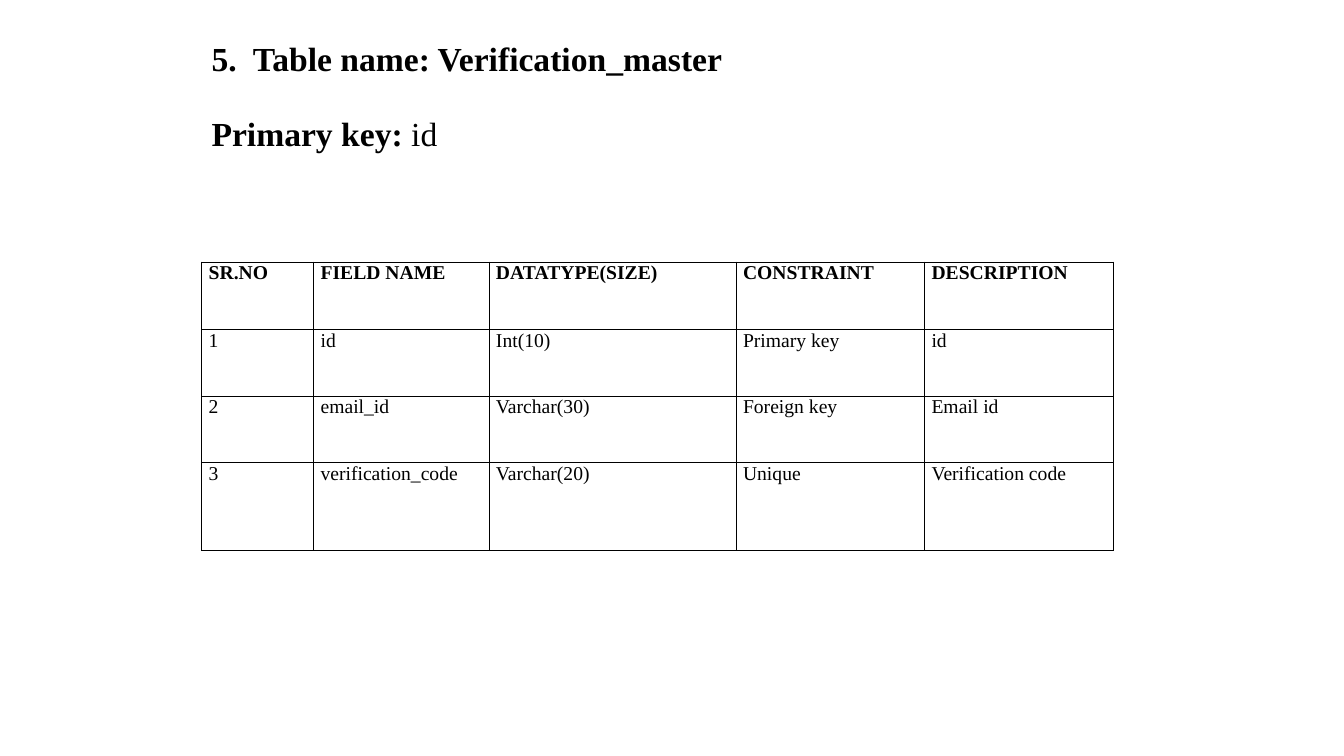
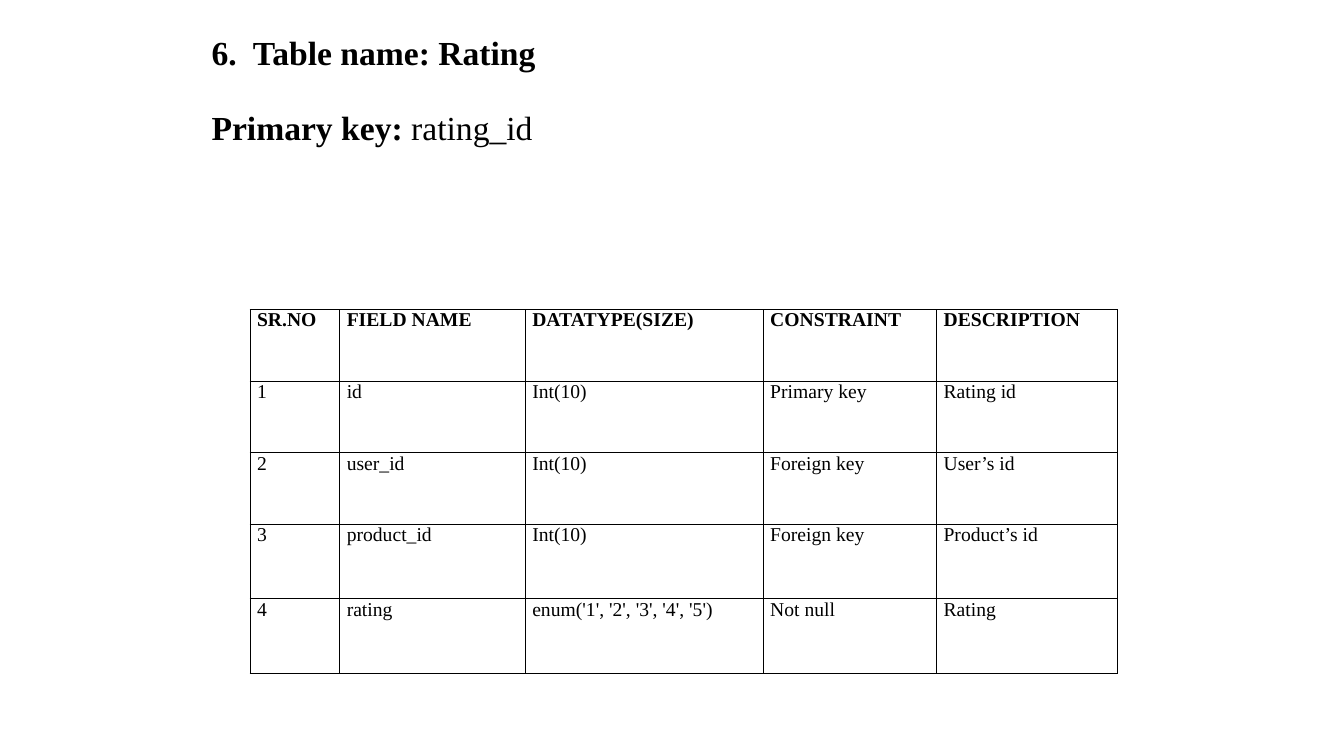
from lxml import etree
from pptx import Presentation
from pptx.dml.color import RGBColor
from pptx.enum.text import MSO_ANCHOR
from pptx.oxml.ns import qn
from pptx.util import Inches, Pt

MIDDLE = MSO_ANCHOR.MIDDLE
FONT = "Times New Roman"
BLACK = "000000"
BORDER_WIDTH = Pt(0.58)
HEADERS = ["SR.NO", "FIELD NAME", "DATATYPE(SIZE)", "CONSTRAINT", "DESCRIPTION"]

SLIDES = [
    {
        "title": "5.  Table name: Verification_master",
        "key": "id",
        "title_bottom_margin": 0,
        "table_position": (2, 2.6),
        "columns": [1.11, 1.74, 2.45, 1.87, 1.87],
        "rows": [0.67, 0.66, 0.66, 0.87],
        "fields": [
            ["id", "Int(10)", "Primary key", "id"],
            ["email_id", "Varchar(30)", "Foreign key", "Email id"],
            ["verification_code", "Varchar(20)", "Unique", "Verification code"],
        ],
    },
    {
        "title": "6.  Table name: Rating",
        "key": "rating_id",
        "title_bottom_margin": 0.12,
        "table_position": (2.48, 3.07),
        "columns": [0.89, 1.84, 2.36, 1.72, 1.79],
        "rows": [0.71, 0.71, 0.71, 0.74, 0.74],
        "fields": [
            ["id", "Int(10)", "Primary key", "Rating id"],
            ["user_id", "Int(10)", "Foreign key", "User’s id"],
            ["product_id", "Int(10)", "Foreign key", "Product’s id"],
            ["rating", "enum('1', '2', '3', '4', '5')", "Not null", "Rating"],
        ],
    },
]


def style_run(run, size, bold):
    run.font.name = FONT
    run.font.size = Pt(size)
    run.font.bold = bold
    run.font.color.rgb = RGBColor.from_string(BLACK)


def add_borders(cell):
    properties = cell._tc.get_or_add_tcPr()
    for side in ("a:lnL", "a:lnR", "a:lnT", "a:lnB"):
        line = etree.SubElement(properties, qn(side), w=str(BORDER_WIDTH))
        fill = etree.SubElement(line, qn("a:solidFill"))
        etree.SubElement(fill, qn("a:srgbClr"), val=BLACK)


presentation = Presentation()
presentation.slide_width = Inches(13.33)
presentation.slide_height = Inches(7.5)

for content in SLIDES:
    slide = presentation.slides.add_slide(presentation.slide_layouts[6])

    # Table name and primary key
    title = slide.shapes.add_textbox(Inches(2), Inches(0.12), Inches(9.57), Inches(1.68))
    text_frame = title.text_frame
    text_frame.word_wrap = True
    text_frame.vertical_anchor = MIDDLE
    text_frame.margin_top = 0
    text_frame.margin_bottom = Inches(content["title_bottom_margin"])
    text_frame.text = content["title"] + "\nPrimary key: "
    name_paragraph, key_paragraph = text_frame.paragraphs
    key_paragraph.space_before = Pt(27)
    for paragraph in text_frame.paragraphs:
        paragraph.line_spacing = Pt(27)
        style_run(paragraph.runs[0], 24, True)
    key_run = key_paragraph.add_run()
    key_run.text = content["key"]
    style_run(key_run, 24, False)

    # Field table
    numbered_fields = [[str(number), *field] for number, field in enumerate(content["fields"], 1)]
    records = [HEADERS] + numbered_fields
    left, top = content["table_position"]
    table = slide.shapes.add_table(
        len(records), len(HEADERS), Inches(left), Inches(top),
        Inches(sum(content["columns"])), Inches(sum(content["rows"])),
    ).table
    table.first_row = False
    table.horz_banding = False
    for column, width in zip(table.columns, content["columns"]):
        column.width = Inches(width)
    for row, height in zip(table.rows, content["rows"]):
        row.height = Inches(height)

    for row_index, record in enumerate(records):
        for column_index, value in enumerate(record):
            cell = table.cell(row_index, column_index)
            cell.margin_left = Inches(0.07)
            cell.margin_right = cell.margin_top = cell.margin_bottom = 0
            add_borders(cell)
            cell.fill.background()
            cell.text_frame.text = value
            style_run(cell.text_frame.paragraphs[0].runs[0], 14, row_index == 0)

presentation.save("out.pptx")
